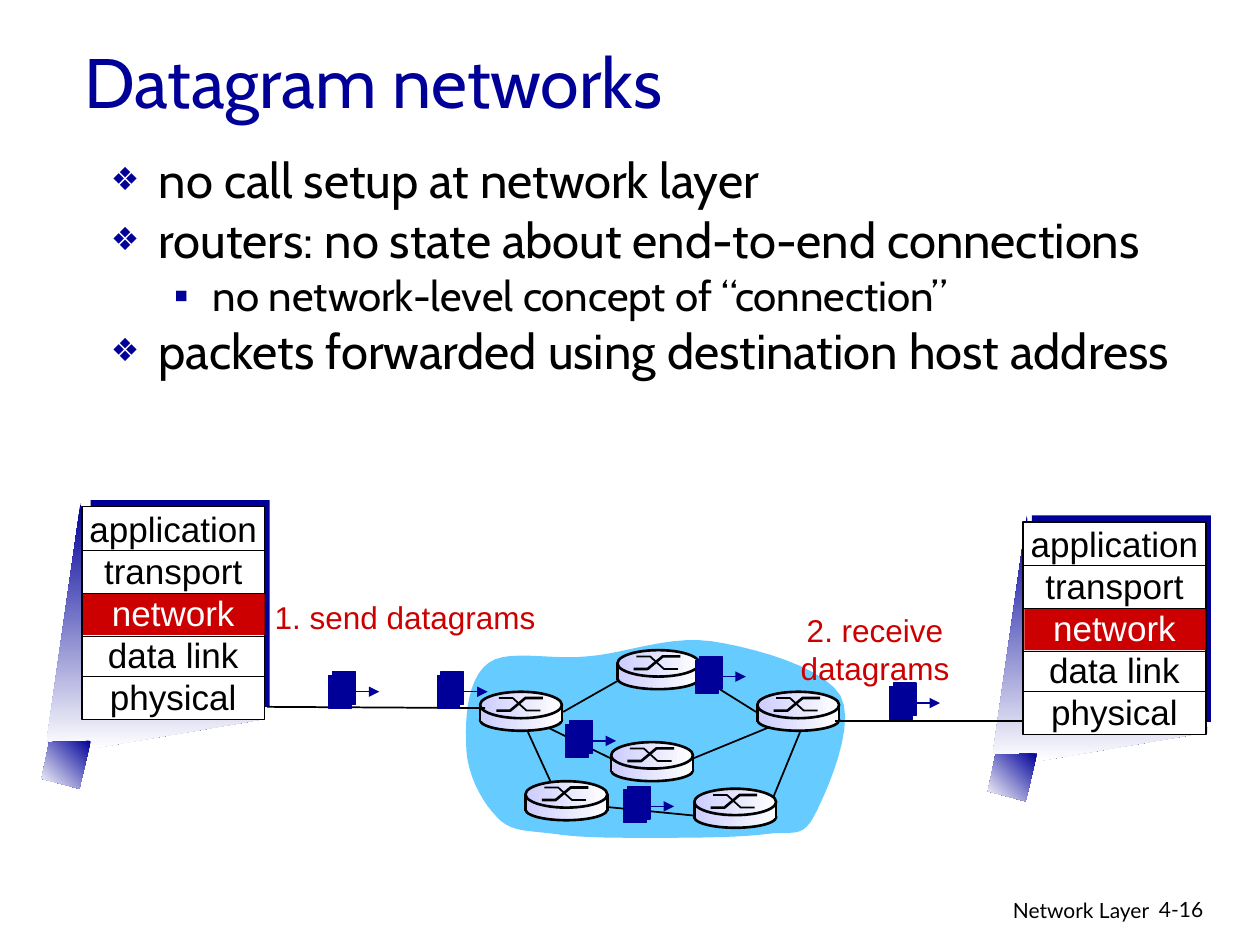
from lxml import etree
from pptx import Presentation
from pptx.dml.color import RGBColor
from pptx.enum.shapes import MSO_CONNECTOR, MSO_SHAPE
from pptx.enum.text import MSO_ANCHOR, MSO_AUTO_SIZE, PP_ALIGN
from pptx.oxml.ns import qn
from pptx.util import Cm, Pt

RECT, OVAL = MSO_SHAPE.RECTANGLE, MSO_SHAPE.OVAL
STRAIGHT = MSO_CONNECTOR.STRAIGHT
LEFT, CENTER, RIGHT = PP_ALIGN.LEFT, PP_ALIGN.CENTER, PP_ALIGN.RIGHT
TOP, MIDDLE = MSO_ANCHOR.TOP, MSO_ANCHOR.MIDDLE
FIT, FIXED = MSO_AUTO_SIZE.SHAPE_TO_FIT_TEXT, MSO_AUTO_SIZE.NONE

NAVY = RGBColor(0x00, 0x00, 0x99)
RED = RGBColor(0xCC, 0x00, 0x00)
SKY = RGBColor(0x66, 0xCC, 0xFF)
LILAC = RGBColor(0xCC, 0xCC, 0xFF)
WHITE = RGBColor(0xFF, 0xFF, 0xFF)
BLACK = RGBColor(0x00, 0x00, 0x00)


def grid(n):
    """Length of n grid units; the slide is 10 by 7.5 units of 2.54 cm."""
    return Cm(n * 2.54)


def shifted(points, x, y):
    return [(x + dx, y + dy) for dx, dy in points]


def curve(start, segments, steps=10):
    """Points along a chain of cubic Bezier segments."""
    points = [start]
    for a, b, c in segments:
        p0 = points[-1]
        for i in range(1, steps + 1):
            t = i / steps
            u = 1 - t
            points.append(tuple(
                u**3 * p0[k] + 3 * u * u * t * a[k] + 3 * u * t * t * b[k] + t**3 * c[k]
                for k in (0, 1)))
    return points


class Deck:
    """Style and current slide, with a method for each kind of element."""
    head_font, label_font, foot_font = "Cabin", "Arial", "Lato"

    def __init__(self):
        self.prs = Presentation()
        self.prs.slide_width, self.prs.slide_height = grid(10), grid(7.5)
        self.s = self.prs.slides.add_slide(self.prs.slide_layouts[1])

    def run(self, p, text, size, font, color):
        r = p.add_run()
        r.text = text
        r.font.size, r.font.name = Pt(size), font
        r.font.color.rgb = color

    def place(self, sp, x, y, w, h, anchor):
        sp.left, sp.top, sp.width, sp.height = map(grid, (x, y, w, h))
        tf = sp.text_frame
        tf.auto_size, tf.vertical_anchor, tf.word_wrap = FIXED, anchor, True
        return tf

    def title(self, text, *box):
        p = self.place(self.s.shapes.title, *box, MIDDLE).paragraphs[0]
        p.alignment = LEFT
        self.run(p, text, 40, self.head_font, NAVY)

    def bullets(self, items, *box):
        tf = self.place(self.s.placeholders[1], *box, TOP)
        for i, (level, text) in enumerate(items):
            p = tf.paragraphs[0] if i == 0 else tf.add_paragraph()
            char, size, margin, indent, scale = [
                ("❖", 28, 0.38, -0.38, 65), ("▪", 24, 0.81, -0.31, 100)][level]
            p.level, p.line_spacing = level, 0.85
            p.space_before = Pt(0.2 * size if i else 0)
            pPr = p._p.get_or_add_pPr()
            pPr.set("marL", str(grid(margin)))
            pPr.set("indent", str(grid(indent)))
            clr = etree.SubElement(pPr, qn("a:buClr"))
            etree.SubElement(clr, qn("a:srgbClr"), val=str(NAVY))
            etree.SubElement(pPr, qn("a:buSzPct"), val=str(scale * 1000))
            etree.SubElement(pPr, qn("a:buChar"), char=char)
            self.run(p, text, size, self.head_font, BLACK)

    def text(self, lines, x, y, w, h, size, font, align=CENTER, wrap=True):
        tf = self.s.shapes.add_textbox(*map(grid, (x, y, w, h))).text_frame
        tf.word_wrap, tf.auto_size = wrap, FIT
        for i, (line, color) in enumerate(lines):
            p = tf.paragraphs[0] if i == 0 else tf.add_paragraph()
            p.alignment = align
            self.run(p, line, size, font, color)

    def paint(self, sp, fill=None, line=None, width=1, angle=0):
        """Fill is a colour, a pair of gradient colours or nothing."""
        sp.shadow.inherit = False
        if fill is None:
            sp.fill.background()
        elif isinstance(fill, list):
            sp.fill.gradient()
            sp.fill.gradient_angle = angle
            for stop, color in zip(sp.fill.gradient_stops, fill):
                stop.color.rgb = color
        else:
            sp.fill.solid()
            sp.fill.fore_color.rgb = fill
        if line is None:
            sp.line.fill.background()
        else:
            sp.line.color.rgb, sp.line.width = line, Pt(width)

    def shape(self, kind, x, y, w, h, *paint):
        sp = self.s.shapes.add_shape(kind, *map(grid, (x, y, w, h)))
        self.paint(sp, *paint)
        return sp

    def outline(self, points, closed=True, **paint):
        pts = [(grid(x), grid(y)) for x, y in points]
        fb = self.s.shapes.build_freeform(*pts[0])
        fb.add_line_segments(pts[1:], close=closed)
        self.paint(fb.convert_to_shape(), **paint)

    def line(self, x1, y1, x2, y2, color=BLACK, width=1.0, source=None):
        """Line; one that leaves the right side of source has an arrowhead."""
        c = self.s.shapes.add_connector(STRAIGHT, *map(grid, (x1, y1, x2, y2)))
        c.line.color.rgb, c.line.width = color, Pt(width)
        etree.SubElement(c._element.spPr, qn("a:effectLst"))
        if source is not None:
            c.begin_connect(source, 3)
            etree.SubElement(c.line._get_or_add_ln(), qn("a:tailEnd"), type="triangle")

    def host(self, x, y, beam_x, beam_y):
        """Protocol stack with the beam that points to its end system."""
        beam = [(0, 1.89), (0.27, 0), (0.36, 1.56), (1.67, 1.58),
                (1.71, 1.72), (0.36, 1.95)]
        foot = [(0.35, 1.89), (0.02, 1.9), (-0.04, 2.19), (0.26, 2.27)]
        for points, angle in ((beam, 270), (foot, 225)):
            self.outline(shifted(points, beam_x, beam_y), fill=[NAVY, WHITE], angle=angle)
        self.shape(RECT, x + 0.07, y - 0.05, 1.42, 1.64, NAVY)
        self.shape(RECT, x, y, 1.45, 1.69, WHITE, BLACK)
        self.shape(RECT, x + 0.01, y + 0.69, 1.44, 0.33, RED)
        layers = ["application", "transport", "network", "data link", "physical"]
        self.text([(n, WHITE if n == "network" else BLACK) for n in layers],
                  x - 0.13, y - 0.04, 1.71, 1.77, 20, self.label_font)
        for dy in (0.35, 0.69, 1.03, 1.35):
            self.line(x, y + dy, x + 1.45, y + dy, width=0.75)

    def router(self, x, y):
        body = [LILAC, WHITE]
        self.shape(OVAL, x, y + 0.14, 0.65, 0.17, body, BLACK, 1.5)
        self.shape(RECT, x, y + 0.12, 0.65, 0.11, body)
        self.shape(OVAL, x, y, 0.65, 0.21, body, BLACK, 1.5)
        rising = [(0.13, 0.15), (0.24, 0.15), (0.36, 0.05), (0.5, 0.05)]
        falling = [(0.15, 0.05), (0.26, 0.05), (0.37, 0.15), (0.48, 0.15)]
        for points, width in ((rising, 1.5), (falling, 1)):
            self.outline(shifted(points, x, y), closed=False, line=BLACK, width=width)
        for side in (x, x + 0.65):
            self.line(side, y + 0.1, side, y + 0.24, width=1.5)

    def packet(self, x, y):
        self.shape(RECT, x + 0.03, y - 0.03, 0.18, 0.26, NAVY, NAVY, 0.75)
        front = self.shape(RECT, x, y, 0.18, 0.26, NAVY, NAVY, 0.75)
        self.line(x + 0.18, y + 0.13, x + 0.4, y + 0.13, NAVY, 0.75, front)


def main():
    d = Deck()

    # Footer, title and list
    d.text([("Network Layer", BLACK)], 6.05, 7.07, 3.17, 0.31, 12, d.foot_font, RIGHT)
    d.text([("4-16", BLACK)], 9.1, 7.07, 0.74, 0.3, 12, d.foot_font, LEFT)
    d.title("Datagram networks", 0.57, 0.15, 8.5, 0.98)
    d.bullets([(0, "no call setup at network layer"),
               (0, "routers: no state about end-to-end connections"),
               (1, "no network-level concept of “connection”"),
               (0, "packets forwarded using destination host address")],
              0.78, 1.21, 8.83, 2.49)

    # End systems
    d.host(8.12, 4.14, 7.88, 4.09)
    d.host(0.65, 4.02, 0.37, 3.99)

    # Network cloud
    d.outline(curve((3.7, 5.88), [
        ((3.69, 5.67), (3.72, 5.37), (3.88, 5.26)),
        ((4.03, 5.15), (4.36, 5.24), (4.66, 5.21)),
        ((4.95, 5.19), (5.31, 5.04), (5.65, 5.09)),
        ((5.98, 5.14), (6.53, 5.29), (6.67, 5.52)),
        ((6.8, 5.75), (6.56, 6.29), (6.46, 6.48)),
        ((6.36, 6.66), (6.3, 6.59), (6.08, 6.62)),
        ((5.86, 6.65), (5.43, 6.65), (5.15, 6.65)),
        ((4.87, 6.65), (4.61, 6.65), (4.41, 6.62)),
        ((4.2, 6.59), (4.05, 6.61), (3.94, 6.48)),
        ((3.82, 6.36), (3.69, 6.12), (3.7, 5.88))]), fill=SKY)

    # Routers and links
    for x, y in ((6.01, 5.49), (4.85, 5.89), (3.81, 5.49)):
        d.router(x, y)
    for link in ((2.12, 5.61, 3.85, 5.62), (4.47, 5.65, 4.98, 5.36),
                 (5.52, 5.35, 6, 5.65), (4.36, 5.78, 4.89, 6.04),
                 (5.5, 6.02, 6.11, 5.77), (6.12, 6.37, 6.35, 5.81),
                 (5.58, 6.48, 4.77, 6.4), (4.4, 6.27, 4.19, 5.81),
                 (8.12, 5.72, 6.63, 5.72)):
        d.line(*link)
    for x, y in ((4.9, 5.16), (5.51, 6.26), (4.17, 6.2)):
        d.router(x, y)

    # Datagrams on their way
    for x, y in ((2.61, 5.36), (3.47, 5.36), (5.52, 5.24),
                 (4.95, 6.27), (4.49, 5.75), (7.06, 5.45)):
        d.packet(x, y)

    # Step labels
    for label, x, y, w in (("1. send datagrams", 2.08, 4.7, 2.27),
                           ("2. receive datagrams", 5.68, 4.8, 2.53)):
        d.text([(label, RED)], x, y, w, 0.4, 18, d.label_font, wrap=False)

    d.prs.save("out.pptx")


if __name__ == "__main__":
    main()
